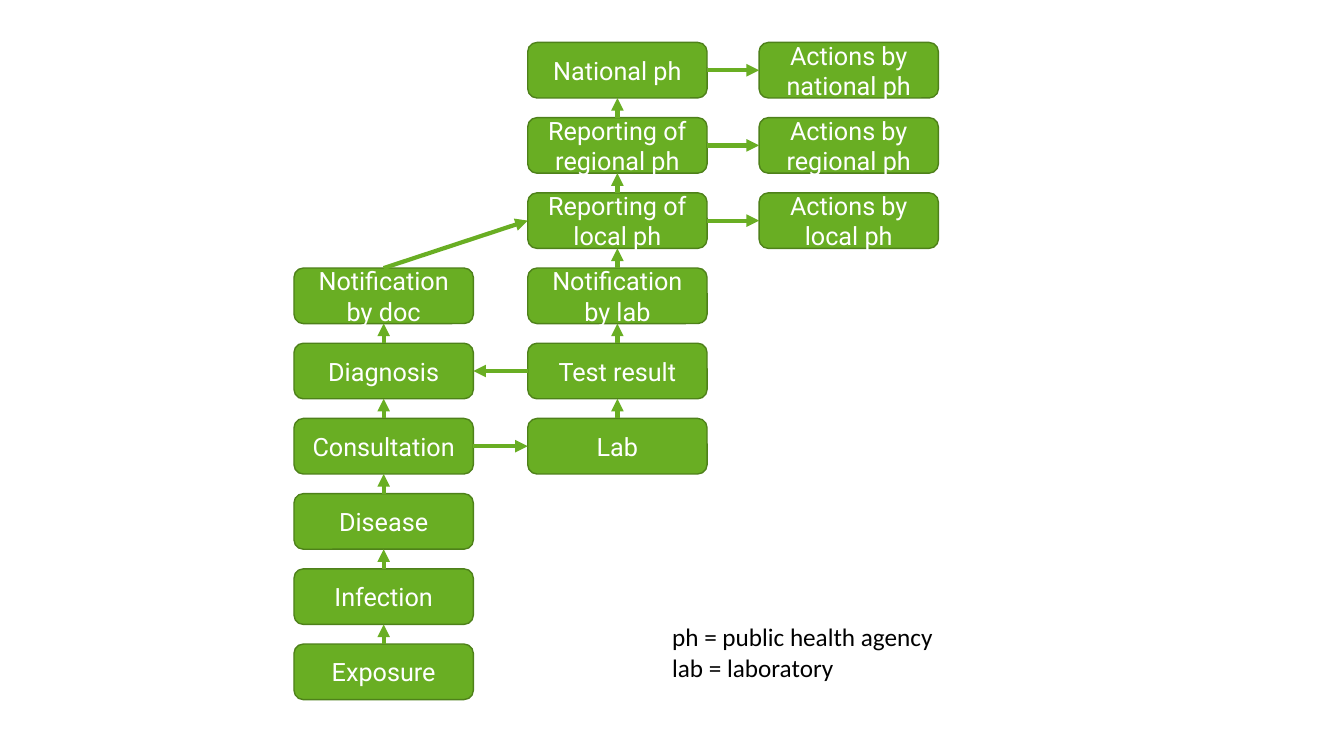
"""Build a slide showing how a disease case is reported up to public health agencies."""
from lxml import etree
from pptx import Presentation
from pptx import util as u
from pptx.dml.color import RGBColor
from pptx.enum import shapes, text
from pptx.oxml.ns import qn

COLOURS = {"green": "69AE23", "edge": "4E811A", "white": "FFFFFF", "black": "000000"}
COLUMN_LEFTS = [7.41, 13.3, 19.13]
FIRST_TOP, LAST_TOP, LAST_ROW = 1.07, 16.23, 8
BOX_WIDTH, BOX_HEIGHT = 4.52, 1.4
SITES = {"top": 0, "left": 1, "bottom": 2, "right": 3}

COLUMNS = [
    (3, ["Notification by doc", "Diagnosis", "Consultation", "Disease", "Infection", "Exposure"]),
    (0, ["National ph", "Reporting of regional ph", "Reporting of local ph",
         "Notification by lab", "Test result", "Lab"]),
    (0, ["Actions by national ph", "Actions by regional ph", "Actions by local ph"]),
]
SIDE_ARROWS = [
    ("Consultation", "right", "Lab", "left"),
    ("Test result", "left", "Diagnosis", "right"),
    ("Notification by doc", "top", "Reporting of local ph", "left"),
    ("National ph", "right", "Actions by national ph", "left"),
    ("Reporting of regional ph", "right", "Actions by regional ph", "left"),
    ("Reporting of local ph", "right", "Actions by local ph", "left"),
]


def colour(name):
    return RGBColor.from_string(COLOURS[name])


def write(frame, lines, font, ink, size=18, align=text.PP_ALIGN.LEFT):
    for index, line in enumerate(lines):
        para = frame.add_paragraph() if index else frame.paragraphs[0]
        para.alignment = align
        span = para.add_run()
        span.text = line
        span.font.name = font
        span.font.size = u.Pt(size)
        span.font.color.rgb = colour(ink)


def add_step(page, label, left, top):
    box = page.shapes.add_shape(shapes.MSO_SHAPE.ROUNDED_RECTANGLE,
                                u.Cm(left), u.Cm(top), u.Cm(BOX_WIDTH), u.Cm(BOX_HEIGHT))
    box.shadow.inherit = False
    box.fill.solid()
    box.fill.fore_color.rgb = colour("green")
    box.line.color.rgb = colour("edge")
    box.line.width = u.Pt(1)
    box.text_frame.word_wrap = True
    box.text_frame.vertical_anchor = text.MSO_ANCHOR.MIDDLE
    write(box.text_frame, [label], "Roboto", "white", align=text.PP_ALIGN.CENTER)
    return box


def add_arrow(page, start, start_side, end, end_side):
    arrow = page.shapes.add_connector(shapes.MSO_CONNECTOR.STRAIGHT, 0, 0, 0, 0)
    arrow.begin_connect(start, SITES[start_side])
    arrow.end_connect(end, SITES[end_side])
    arrow.line.color.rgb = colour("green")
    arrow.line.width = u.Pt(3)
    etree.SubElement(arrow.line._get_or_add_ln(), qn("a:tailEnd"), type="triangle")
    etree.SubElement(arrow._element.spPr, qn("a:effectLst"))


def add_legend(page, lines):
    box = page.shapes.add_textbox(u.Cm(16.69), u.Cm(15.54), u.Cm(7.16), u.Cm(1.8))
    box.text_frame.word_wrap = False
    box.text_frame.auto_size = text.MSO_AUTO_SIZE.SHAPE_TO_FIT_TEXT
    write(box.text_frame, lines, "Calibri", "black")


def main():
    deck = Presentation()
    deck.slide_width, deck.slide_height = u.Cm(33.87), u.Cm(19.05)
    page = deck.slides.add_slide(deck.slide_layouts[6])

    pitch = (LAST_TOP - FIRST_TOP) / LAST_ROW
    steps = {}
    for left, (first_row, labels) in zip(COLUMN_LEFTS, COLUMNS):
        for row, label in enumerate(labels, first_row):
            steps[label] = add_step(page, label, left, FIRST_TOP + row * pitch)

    for _, labels in COLUMNS[:2]:
        for upper, lower in zip(labels, labels[1:]):
            add_arrow(page, steps[lower], "top", steps[upper], "bottom")
    for start, start_side, end, end_side in SIDE_ARROWS:
        add_arrow(page, steps[start], start_side, steps[end], end_side)

    add_legend(page, ["ph = public health agency", "lab = laboratory"])
    deck.save("out.pptx")


if __name__ == "__main__":
    main()
